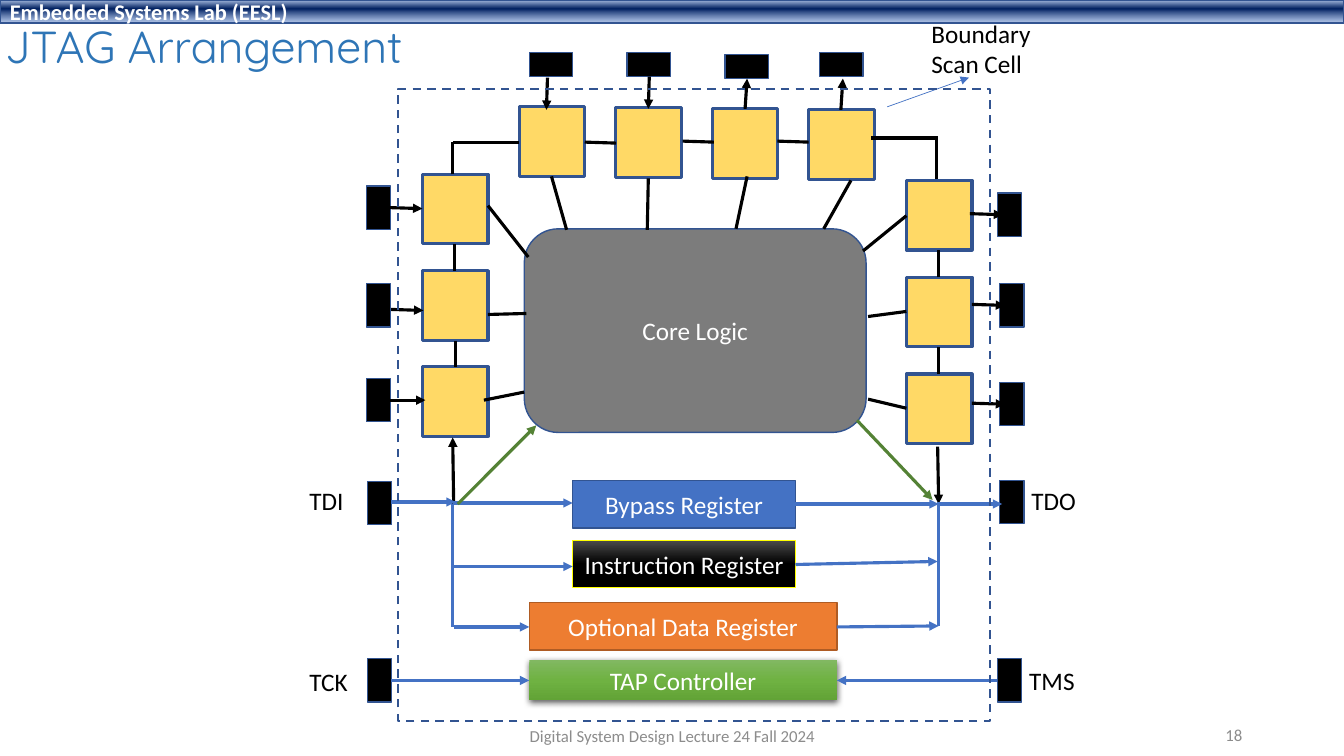
from pptx import Presentation
from pptx.dml.color import RGBColor
from pptx.enum.dml import MSO_LINE
from pptx.enum.shapes import MSO_CONNECTOR, MSO_SHAPE
from pptx.enum.text import MSO_ANCHOR, MSO_AUTO_SIZE, PP_ALIGN
from pptx.oxml.ns import qn
from pptx.util import Inches, Pt
from lxml.etree import SubElement

BLACK = RGBColor(0x00, 0x00, 0x00)
WHITE = RGBColor(0xFF, 0xFF, 0xFF)
NAVY = RGBColor(0x32, 0x54, 0x91)
BLUE = RGBColor(0x44, 0x72, 0xC4)
SKY = RGBColor(0x2E, 0x75, 0xB6)
GOLD = RGBColor(0xFF, 0xD9, 0x66)
GRAY = RGBColor(0x7C, 0x7C, 0x7C)
PALE = RGBColor(0x8C, 0x8C, 0x8C)
AMBER = RGBColor(0xED, 0x7D, 0x31)
RUST = RGBColor(0xAF, 0x5C, 0x24)
YELLOW = RGBColor(0xFF, 0xFF, 0x00)
GREEN = RGBColor(0x54, 0x82, 0x35)

deck = Presentation()
deck.slide_width = Inches(13.33)
deck.slide_height = Inches(7.5)
col = deck.slide_width / 133.3
row = deck.slide_height / 75
slide = deck.slides.add_slide(deck.slide_layouts[5])
shapes = slide.shapes


def box(x, y, w, h, fill, edge, thick=1, text="", kind=MSO_SHAPE.RECTANGLE):
    shape = shapes.add_shape(kind, int(x * col), int(y * row), int(w * col), int(h * row))
    shape.shadow.inherit = False
    if fill is None:
        shape.fill.background()
    else:
        shape.fill.solid()
        shape.fill.fore_color.rgb = fill
    if edge is None:
        shape.line.fill.background()
    else:
        shape.line.color.rgb = edge
        shape.line.width = Pt(thick)
    if text:
        frame = shape.text_frame
        frame.text = text
        frame.vertical_anchor = MSO_ANCHOR.MIDDLE
        frame.paragraphs[0].alignment = PP_ALIGN.CENTER
        font = frame.paragraphs[0].runs[0].font
        font.name, font.size, font.color.rgb = "Calibri", Pt(18), WHITE
    return shape


def wire(x1, y1, x2, y2, color, arrow=False, thick=2.25):
    link = shapes.add_connector(MSO_CONNECTOR.STRAIGHT, int(x1 * col), int(y1 * row),
                                int(x2 * col), int(y2 * row))
    link.line.color.rgb = color
    link.line.width = Pt(thick)
    if arrow:
        SubElement(link.line._get_or_add_ln(), qn("a:tailEnd"), type="triangle")
    SubElement(link._element.spPr, qn("a:effectLst"))


title = shapes.title
title.left, title.top = int(-0.5 * col), int(0.8 * row)
title.width, title.height = int(57.1 * col), int(8.2 * row)
title.text_frame.text = "JTAG Arrangement"
title.text_frame.vertical_anchor = MSO_ANCHOR.MIDDLE
title.text_frame.auto_size = MSO_AUTO_SIZE.NONE
head = title.text_frame.paragraphs[0]
head.alignment = PP_ALIGN.LEFT
head.line_spacing = 0.9
font = head.runs[0].font
font.name, font.size, font.color.rgb = "Quicksand", Pt(32), SKY

banner = box(0, 0, 133.3, 2.3, NAVY, NAVY, text="Embedded Systems Lab (EESL)")
head = banner.text_frame.paragraphs[0]
head.alignment = PP_ALIGN.LEFT
head.runs[0].font.size = Pt(16)
head.runs[0].font.bold = True

for i in range(3):
    box(41.9, 17.3 + 9.55 * i, 6.5, 6.9, GOLD, NAVY, 2.25)
    box(89.9, 17.9 + 9.6 * i, 6.5, 6.9, GOLD, NAVY, 2.25)
for i in range(4):
    box(51.5 + 9.57 * i, 10.6 + 0.1 * i, 6.5, 6.9, GOLD, NAVY, 2.25)

for x, y in [(36.35, 18.45), (36.35, 28.15), (36.35, 37.55), (36.45, 47.75), (36.45, 65.35),
             (98.95, 19.15), (99.15, 28.15), (99.15, 37.95), (99.15, 47.65), (98.95, 65.35)]:
    box(x, y, 2.4, 4.3, BLACK, NAVY)
for x, y in [(52.5, 5.2), (62.2, 5.2), (71.9, 5.4), (81.3, 5.2)]:
    box(x, y, 4.3, 2.4, BLACK, NAVY)

box(52, 22.7, 33.9, 20.2, GRAY, NAVY, text="Core Logic", kind=MSO_SHAPE.ROUNDED_RECTANGLE)
box(56.8, 47.7, 22.1, 4.7, BLUE, NAVY, text="Bypass Register")
order = box(56.8, 53.6, 22.1, 4.7, BLACK, YELLOW, 0.5, "Instruction Register")
box(52.5, 59.8, 30.5, 4.7, AMBER, RUST, text="Optional Data Register")
tap = box(52.5, 65.5, 30.5, 4, GREEN, None, text="TAP Controller")

for shape, stops in [
    (banner, [(2, "ABC0E4", 100), (38, "002060", 100), (93, "7E9ED6", 64)]),
    (order, [(0, "4B4B4B", 100), (50, "000000", 100), (100, "000000", 100)]),
    (tap, [(0, "81B861", 100), (50, "6FB242", 100), (100, "62A336", 100)]),
]:
    shape.fill.gradient()
    shape.fill.gradient_angle = 270
    ramp = next(shape._element.spPr.iter(qn("a:gsLst")))
    for stop in list(ramp):
        ramp.remove(stop)
    for place, tint, alpha in stops:
        stop = SubElement(ramp, qn("a:gs"), pos=str(place * 1000))
        tone = SubElement(stop, qn("a:srgbClr"), val=tint)
        if alpha < 100:
            SubElement(tone, qn("a:alpha"), val=str(alpha * 1000))

glow = tap._element.spPr.find(qn("a:effectLst"))
shade = SubElement(glow, qn("a:outerShdw"), blurRad=str(Pt(4.5)), dist=str(Pt(1.5)),
                   dir="5400000", algn="ctr", rotWithShape="0")
tone = SubElement(shade, qn("a:srgbClr"), val="000000")
SubElement(tone, qn("a:alpha"), val="63000")

chain = [
    (45.2, 36.4, 45.2, 33.8), (45.1, 26.9, 45.1, 24.2), (44.9, 17.3, 44.9, 14.1),
    (51.5, 14.1, 44.9, 14.1), (61.1, 14.2, 58, 14.1), (70.8, 14.1, 67.7, 14),
    (80.2, 14.1, 77.1, 14), (93, 13.7, 86.4, 13.7), (92.9, 17.8, 92.9, 13.5),
    (93.1, 27.5, 93.1, 24.8), (93.1, 37.1, 93.1, 34.4),
]
core = [
    (52.2, 31.1, 48.4, 31.2), (52, 38.9, 48, 39.7), (89.9, 40.5, 86.1, 39.6),
    (89.9, 30.9, 86.1, 31.4), (89.9, 21.4, 85.6, 24.9), (84.4, 17.9, 81.7, 22.7),
    (74.1, 17.5, 73, 22.7), (64.3, 17.7, 64.2, 22.8), (54.7, 17.5, 56.2, 22.8),
    (48.4, 20.4, 52.4, 25.5),
]
for ends in chain + core:
    wire(*ends, BLACK)

for ends in [
    (93, 44.3, 93.1, 50), (45, 50, 44.9, 43.4),
    (38.7, 20.6, 41.9, 20.7), (38.8, 30.7, 42, 30.8), (38.7, 39.7, 42.2, 39.7),
    (96.2, 21.2, 99.5, 21.3), (96.4, 30.2, 99.7, 30.3), (96.4, 40, 99.7, 40.1),
    (54.3, 7.7, 54.2, 10.9), (64.4, 7.6, 64.3, 10.8),
    (73.9, 10.8, 74.1, 7.8), (83.4, 10.9, 83.6, 7.8),
]:
    wire(*ends, BLACK, True)

for ends in [
    (38.8, 49.8, 45.2, 49.8), (44.9, 49.9, 56.8, 49.9), (78.9, 50, 93.1, 50),
    (92.9, 50, 99.4, 50), (38.8, 67.5, 52.5, 67.5), (98.9, 67.5, 83, 67.5),
    (45, 62.2, 52.5, 62.2), (44.9, 56.2, 56.8, 56.2), (83, 62.2, 93.1, 62.1),
    (78.9, 56, 93, 55.7),
]:
    wire(*ends, BLUE, True)
wire(44.9, 50, 44.9, 62.2, BLUE)
wire(93.1, 50, 93.1, 62.1, BLUE)
wire(88, 10.6, 96.1, 7.7, BLUE, True, 0.5)
wire(45.4, 50, 53.2, 42.2, GREEN, True)
wire(85, 41.7, 92.5, 49.6, GREEN, True)

frame = box(39.5, 8.8, 58.7, 62.7, None, NAVY, 1.5)
frame.line.dash_style = MSO_LINE.DASH

for x, y, w, h, text, size, color, align in [
    (91.4, 1.3, 12, 7.1, "Boundary\nScan Cell", 18, BLACK, PP_ALIGN.LEFT),
    (29.7, 47.7, 5.4, 4, "TDI", 18, BLACK, PP_ALIGN.LEFT),
    (101.3, 47.7, 6.5, 4, "TDO", 18, BLACK, PP_ALIGN.LEFT),
    (29.7, 65.6, 5.9, 4, "TCK", 18, BLACK, PP_ALIGN.LEFT),
    (101.1, 65.5, 6.6, 4, "TMS", 18, BLACK, PP_ALIGN.LEFT),
    (44.2, 71, 45, 4, "Digital System Design Lecture 24 Fall 2024", 12, PALE, PP_ALIGN.CENTER),
    (94.2, 70.9, 30, 4, "18", 12, PALE, PP_ALIGN.RIGHT),
]:
    label = shapes.add_textbox(int(x * col), int(y * row), int(w * col), int(h * row)).text_frame
    label.text = text
    label.word_wrap = size == 12
    label.vertical_anchor = MSO_ANCHOR.MIDDLE if size == 12 else MSO_ANCHOR.TOP
    for line in label.paragraphs:
        line.alignment = align
        font = line.runs[0].font
        font.name, font.size, font.color.rgb = "Calibri", Pt(size), color

deck.save("out.pptx")
